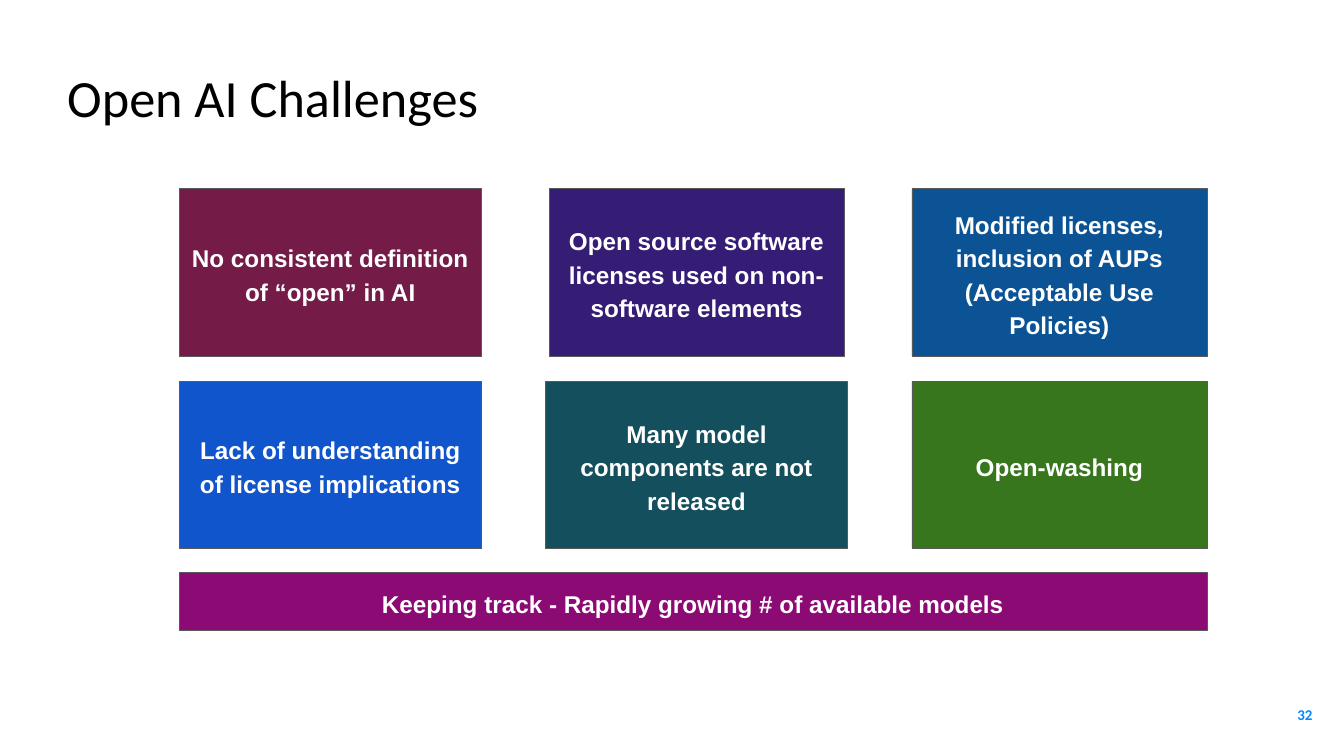
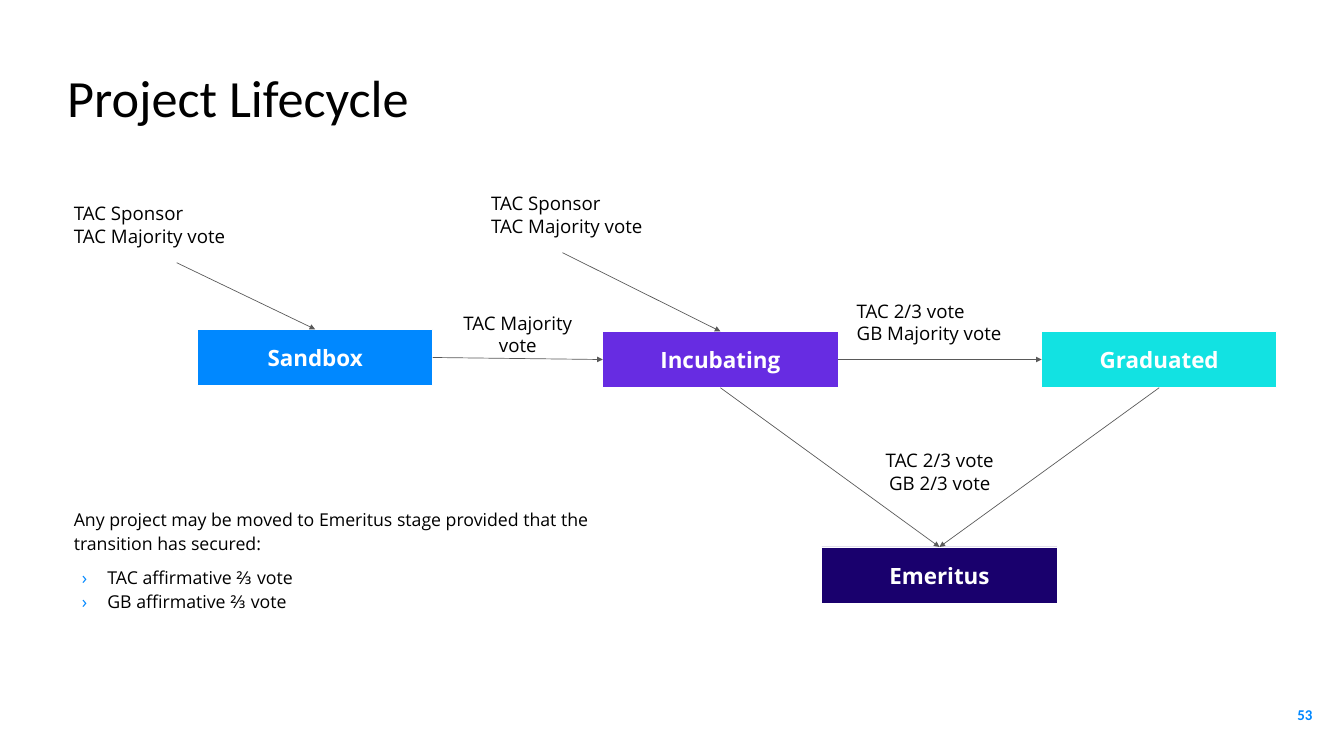
"""Build two slides: the challenges of open AI and the project lifecycle."""
from typing import Any, NamedTuple, Optional, Union

from lxml.etree import SubElement
from pptx import Presentation
from pptx.dml.color import RGBColor
from pptx.enum.shapes import MSO_CONNECTOR as Link, MSO_SHAPE as Preset
from pptx.enum.text import MSO_ANCHOR as Anchor, MSO_AUTO_SIZE as AutoSize, PP_ALIGN as Align
from pptx.oxml.ns import qn
from pptx.shapes.autoshape import Shape
from pptx.slide import Slide
from pptx.text.text import TextFrame
from pptx.util import Inches, Pt

BLACK = RGBColor(0x00, 0x00, 0x00)
WHITE = RGBColor(0xFF, 0xFF, 0xFF)
GREY = RGBColor(0x59, 0x59, 0x59)
AZURE = RGBColor(0x00, 0x88, 0xFF)
VIOLET = RGBColor(0x67, 0x2C, 0xE2)
CYAN = RGBColor(0x12, 0xE2, 0xE2)
NAVY = RGBColor(0x19, 0x00, 0x6D)
WINE = RGBColor(0x74, 0x1B, 0x47)
INDIGO = RGBColor(0x35, 0x1C, 0x75)
OCEAN = RGBColor(0x0B, 0x53, 0x94)
COBALT = RGBColor(0x11, 0x55, 0xCC)
TEAL = RGBColor(0x13, 0x4F, 0x5C)
GREEN = RGBColor(0x38, 0x76, 0x1D)
MAGENTA = RGBColor(0x8C, 0x0A, 0x74)

TITLE_FONT = {"name": "Calibri", "size": Pt(56), "bold": False}
NUMBER_FONT = {"name": "Calibri", "size": Pt(16), "bold": True}
CARD_FONT = {"name": "Arial", "size": Pt(26), "bold": True}
STAGE_FONT = {"name": "Open Sans", "size": Pt(24), "bold": True}
VOTE_FONT = {"name": "Open Sans", "size": Pt(20)}
RULE_FONT = {"name": "Open Sans", "size": Pt(19)}

CARD_TOP, CARD_HEIGHT, CARD_STEP = 2.81, 2.49, 2.86
STAGE_WIDTH, STAGE_HEIGHT = 3.5, 0.84
TOP, LEFT, BOTTOM, RIGHT = range(4)


class Box(NamedTuple):
    """Place and size in inches."""
    left: float
    top: float
    width: float
    height: float


class Card(NamedTuple):
    """A challenge in the grid."""
    words: str
    fill: RGBColor
    row: int
    left: float
    width: float


class Stage(NamedTuple):
    """A stage of the project lifecycle."""
    name: str
    fill: RGBColor
    left: float
    top: float


class Vote(NamedTuple):
    """The approvals needed for a transition."""
    lines: list[str]
    box: Box
    align: Align = Align.LEFT
    anchor: Anchor = Anchor.MIDDLE


class Joint(NamedTuple):
    """The middle of a side of a rectangle."""
    shape: Shape
    side: int


class Point(NamedTuple):
    """A free end of an arrow, in inches."""
    x: float
    y: float


CARDS = [
    Card("No consistent definition of “open” in AI", WINE, 0, 2.67, 4.49),
    Card("Open source software licenses used on non-software elements", INDIGO, 0, 8.17, 4.39),
    Card("Modified licenses, inclusion of AUPs (Acceptable Use Policies)", OCEAN, 0, 13.57, 4.39),
    Card("Lack of understanding of license implications", COBALT, 1, 2.67, 4.49),
    Card("Many model components are not released", TEAL, 1, 8.12, 4.49),
    Card("Open-washing", GREEN, 1, 13.57, 4.39),
]
STAGES = [
    Stage("Sandbox", AZURE, 2.94, 4.9),
    Stage("Incubating", VIOLET, 8.97, 4.93),
    Stage("Graduated", CYAN, 15.5, 4.93),
    Stage("Emeritus", NAVY, 12.23, 8.14),
]
SPONSORED = ["TAC Sponsor", "TAC Majority vote"]
VOTES = [
    Vote(SPONSORED, Box(1, 2.77, 3.26, 1.14)),
    Vote(SPONSORED, Box(7.21, 2.62, 3.26, 1.14)),
    Vote(["TAC Majority", "vote"], Box(6.37, 4.54, 2.67, 1.14), Align.CENTER, Anchor.TOP),
    Vote(["TAC 2/3 vote", "GB Majority vote"], Box(12.65, 4.22, 2.67, 1.14)),
    Vote(["TAC 2/3 vote", "GB 2/3 vote"], Box(12.65, 6.45, 2.67, 1.14), Align.CENTER),
]


def apply(target: Any, values: dict[str, Any]) -> None:
    """Set every named attribute of the target."""
    for name, value in values.items():
        setattr(target, name, value)


def inches(box: Box) -> tuple:
    """Turn a box into lengths."""
    return tuple(Inches(value) for value in box)


def write(frame: TextFrame, lines: list[str], font: dict[str, Any], color: RGBColor,
          align: Align = Align.LEFT, anchor: Anchor = Anchor.MIDDLE,
          inset: float = 0.1, spacing: Optional[float] = None) -> None:
    """Fill a text frame with one paragraph for each line."""
    margins = {f"margin_{side}": Inches(inset) for side in ("left", "top", "right", "bottom")}
    apply(frame, {"word_wrap": True, "auto_size": AutoSize.NONE,
                  "vertical_anchor": anchor, **margins})
    for index, line in enumerate(lines):
        paragraph = frame.add_paragraph() if index else frame.paragraphs[0]
        apply(paragraph, {"alignment": align, "line_spacing": spacing})
        run = paragraph.add_run()
        run.text = line
        apply(run.font, font)
        run.font.color.rgb = color


def add_text(slide: Slide, box: Box, lines: list[str], font: dict[str, Any],
             color: RGBColor = BLACK, **layout: Any) -> Shape:
    """Add a text box."""
    text = slide.shapes.add_textbox(*inches(box))
    write(text.text_frame, lines, font, color, **layout)
    return text


def add_block(slide: Slide, box: Box, words: str, fill: RGBColor, outline: RGBColor,
              font: dict[str, Any], spacing: Optional[float] = None) -> Shape:
    """Add a filled rectangle with centred white words."""
    block = slide.shapes.add_shape(Preset.RECTANGLE, *inches(box))
    block.shadow.inherit = False
    block.fill.solid()
    block.fill.fore_color.rgb = fill
    block.line.color.rgb = outline
    block.line.width = Pt(0.75)
    write(block.text_frame, [words], font, WHITE, align=Align.CENTER, spacing=spacing)
    return block


def add_arrow(slide: Slide, start: Union[Joint, Point], end: Joint) -> None:
    """Add a thin arrow that ends at the side of a rectangle."""
    origin = (Inches(start.x), Inches(start.y)) if isinstance(start, Point) else (0, 0)
    arrow = slide.shapes.add_connector(Link.STRAIGHT, *origin, 0, 0)
    if isinstance(start, Joint):
        arrow.begin_connect(*start)
    arrow.end_connect(*end)
    arrow.line.color.rgb = GREY
    arrow.line.width = Pt(0.75)
    properties = arrow.element.spPr
    SubElement(properties.find(qn("a:ln")), qn("a:tailEnd"), type="triangle")
    SubElement(properties, qn("a:effectLst"))


def add_bullet(paragraph: Any) -> None:
    """Give a paragraph a hanging azure bullet."""
    properties = paragraph._p.get_or_add_pPr()
    properties.set("marL", str(Inches(0.5)))
    properties.set("indent", str(Inches(-0.38)))
    color = SubElement(properties, qn("a:buClr"))
    SubElement(color, qn("a:srgbClr"), val=str(AZURE))
    SubElement(properties, qn("a:buFont"), typeface="Open Sans")
    SubElement(properties, qn("a:buChar"), char="›")


def add_slide(deck: Any, title: str, number: int) -> Slide:
    """Add a slide with its title and page number."""
    slide = deck.slides.add_slide(deck.slide_layouts[5])
    heading = slide.shapes.title
    places = inches(Box(1, 0.97, 18.64, 1.25))
    apply(heading, dict(zip(("left", "top", "width", "height"), places)))
    write(heading.text_frame, [title], TITLE_FONT, BLACK, anchor=Anchor.TOP, inset=0)
    add_text(slide, Box(18.53, 10.2, 1.2, 0.86), [str(number)], NUMBER_FONT, AZURE,
             align=Align.RIGHT, inset=0.2)
    return slide


def build_challenges(deck: Any) -> None:
    """Draw the grid of challenges and the band below it."""
    slide = add_slide(deck, "Open AI Challenges", 32)
    for card in CARDS:
        box = Box(card.left, CARD_TOP + card.row * CARD_STEP, card.width, CARD_HEIGHT)
        add_block(slide, box, card.words, card.fill, GREY, CARD_FONT, 1.15)
    add_block(slide, Box(2.67, 8.52, 15.29, 0.86),
              "Keeping track - Rapidly growing # of available models",
              MAGENTA, GREY, CARD_FONT, 1.15)


def build_lifecycle(deck: Any) -> None:
    """Draw the stages, their transitions and the rule for Emeritus."""
    slide = add_slide(deck, "Project Lifecycle", 53)
    sandbox, incubating, graduated, emeritus = [
        add_block(slide, Box(stage.left, stage.top, STAGE_WIDTH, STAGE_HEIGHT),
                  stage.name, stage.fill, WHITE, STAGE_FONT)
        for stage in STAGES]
    sandbox_vote, *_ = [
        add_text(slide, vote.box, vote.lines, VOTE_FONT, align=vote.align, anchor=vote.anchor)
        for vote in VOTES]
    transitions = [
        (Joint(sandbox_vote, BOTTOM), Joint(sandbox, TOP)),
        (Point(8.37, 3.76), Joint(incubating, TOP)),
        (Joint(sandbox, RIGHT), Joint(incubating, LEFT)),
        (Joint(incubating, RIGHT), Joint(graduated, LEFT)),
        (Joint(incubating, BOTTOM), Joint(emeritus, TOP)),
        (Joint(graduated, BOTTOM), Joint(emeritus, TOP)),
    ]
    for start, end in transitions:
        add_arrow(slide, start, end)

    rule = add_text(
        slide, Box(1, 7.42, 8.93, 2.77),
        ["Any project may be moved to Emeritus stage provided that the transition has secured:",
         "TAC affirmative ⅔ vote", "GB affirmative ⅔ vote"],
        RULE_FONT, anchor=Anchor.TOP, spacing=1.15)
    conditions = rule.text_frame.paragraphs[1:]
    for condition in conditions:
        add_bullet(condition)
    conditions[0].space_before = Pt(10)


def main() -> None:
    """Build and save the deck."""
    deck = Presentation()
    apply(deck, {"slide_width": Inches(20), "slide_height": Inches(11.25)})
    build_challenges(deck)
    build_lifecycle(deck)
    deck.save("out.pptx")


if __name__ == "__main__":
    main()
